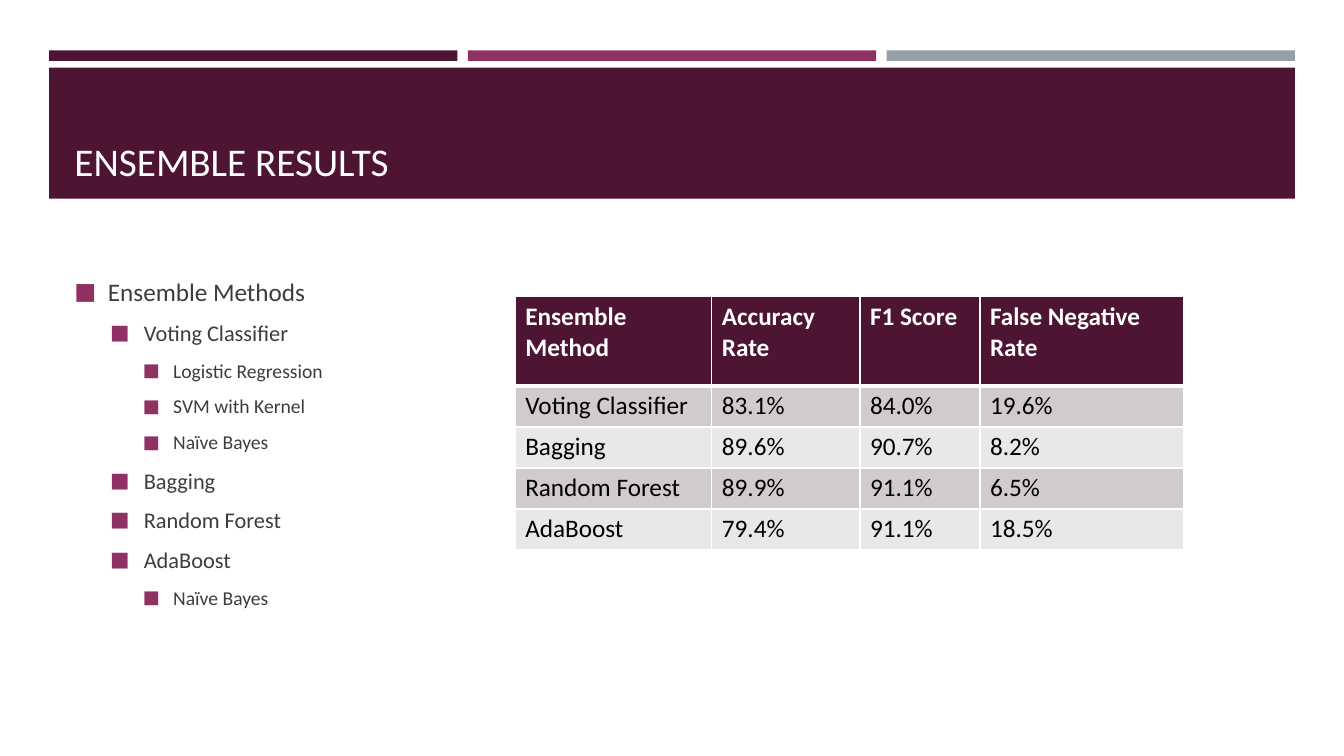
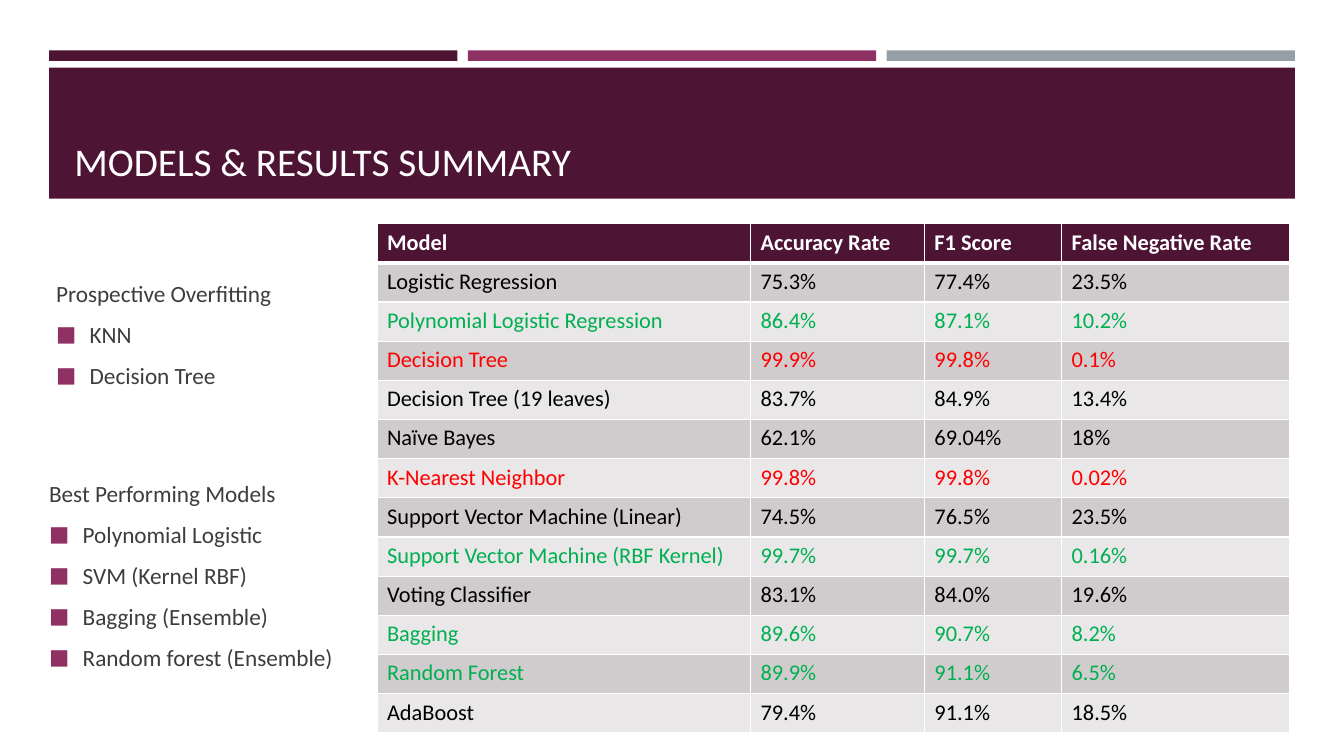
import dataclasses

import lxml.etree
import pptx
import pptx.dml.color
import pptx.enum.shapes
import pptx.enum.text
import pptx.oxml.ns
import pptx.util

Pt = pptx.util.Pt
RGB = pptx.dml.color.RGBColor.from_string
qn = pptx.oxml.ns.qn
ANCHOR = pptx.enum.text.MSO_ANCHOR


@dataclasses.dataclass(frozen=True)
class Theme:
    font: str = "Calibri"
    plum: str = "4D1434"
    berry: str = "903163"
    gray: str = "969FA7"
    white: str = "FFFFFF"
    black: str = "000000"
    body: str = "3D3D3D"
    best: str = "00B050"
    overfit: str = "FF0000"
    stripes: tuple = ("D0CCCE", "E9E7E8")
    title_size: float = 28
    level_sizes: tuple = (18, 16, 14)
    list_size: float = 16.6


T = Theme()

# Content: list items are (level, text), level None has no bullet
# Table rows are (text colour, cells)
ENSEMBLE_ROWS = [
    (T.black, ("Voting Classifier", "83.1%", "84.0%", "19.6%")),
    (T.best, ("Bagging", "89.6%", "90.7%", "8.2%")),
    (T.best, ("Random Forest", "89.9%", "91.1%", "6.5%")),
    (T.black, ("AdaBoost", "79.4%", "91.1%", "18.5%")),
]
MODEL_ROWS = [
    (T.black, ("Logistic Regression", "75.3%", "77.4%", "23.5%")),
    (T.best, ("Polynomial Logistic Regression", "86.4%", "87.1%", "10.2%")),
    (T.overfit, ("Decision Tree", "99.9%", "99.8%", "0.1%")),
    (T.black, ("Decision Tree (19 leaves)", "83.7%", "84.9%", "13.4%")),
    (T.black, ("Naïve Bayes", "62.1%", "69.04%", "18%")),
    (T.overfit, ("K-Nearest Neighbor", "99.8%", "99.8%", "0.02%")),
    (T.black, ("Support Vector Machine (Linear)", "74.5%", "76.5%", "23.5%")),
    (T.best, ("Support Vector Machine (RBF Kernel)", "99.7%", "99.7%", "0.16%")),
] + ENSEMBLE_ROWS
METRICS = ("Accuracy Rate", "F1 Score", "False Negative Rate")

SLIDES = [
    {
        "title": "ENSEMBLE RESULTS",
        "lists": [{
            "box": (46, 171.4, 355, 289.4),
            "sizes": T.level_sizes,
            "items": [
                (0, "Ensemble Methods"),
                (1, "Voting Classifier"),
                (2, "Logistic Regression"),
                (2, "SVM with Kernel"),
                (2, "Naïve Bayes"),
                (1, "Bagging"),
                (1, "Random Forest"),
                (1, "AdaBoost"),
                (2, "Naïve Bayes"),
            ],
        }],
        "table": {
            "at": (368, 211.7),
            "cols": (140.5, 105.8, 85.7, 145.4),
            "header_height": 64, "row_height": 29.3, "size": 18,
            "header": ("Ensemble Method",) + METRICS,
            "rows": [(T.black, cells) for _, cells in ENSEMBLE_ROWS],
        },
    },
    {
        "title": "MODELS & RESULTS SUMMARY",
        "lists": [
            {
                "box": (33, 185, 185, 107),
                "sizes": (T.list_size,),
                "items": [
                    (None, "Prospective Overfitting"),
                    (0, "KNN"),
                    (0, "Decision Tree"),
                ],
            },
            {
                "box": (28, 330, 268, 162),
                "sizes": (T.list_size,),
                "items": [
                    (None, "Best Performing Models"),
                    (0, "Polynomial Logistic"),
                    (0, "SVM (Kernel RBF)"),
                    (0, "Bagging (Ensemble)"),
                    (0, "Random forest (Ensemble)"),
                ],
            },
        ],
        "table": {
            "at": (269.3, 159.8),
            "cols": (266.8, 124.2, 98, 163.2),
            "header_height": 28, "row_height": 28, "size": 16,
            "header": ("Model",) + METRICS,
            "rows": MODEL_ROWS,
        },
    },
]

# Shared geometry
LEFT, RIGHT = 35, 925
BAND_TOP, BAND_HEIGHT, BAND_GAP = 36, 7.5, 7.5
HEADER_TOP, HEADER_HEIGHT = 48.4, 93.6
TITLE_BOX = (46, 55.4, 868, 80)
INDENTS = ((24, 24), (49.7, 24), (70.6, 21.6))  # left margin, hanging


def add_xml(parent, tag, **attrs):
    return lxml.etree.SubElement(parent, qn(tag), attrs)


def write(p, text, size, color, bold=False):
    r = p.add_run()
    r.text = text
    r.font.name, r.font.size, r.font.bold = T.font, Pt(size), bold
    r.font.color.rgb = RGB(color)


def set_bullet(p, level):
    left, hanging = INDENTS[level]
    p.level = level
    pPr = p._p.get_or_add_pPr()
    pPr.set("marL", str(Pt(left)))
    pPr.set("indent", str(-Pt(hanging)))
    add_xml(add_xml(pPr, "a:buClr"), "a:srgbClr", val=T.berry)
    add_xml(pPr, "a:buSzPct", val="92000")
    add_xml(pPr, "a:buFont", typeface=T.font)
    add_xml(pPr, "a:buChar", char="■")


def add_list(slide, box, sizes, items):
    tf = slide.shapes.add_textbox(*map(Pt, box)).text_frame
    tf.word_wrap = True
    tf.vertical_anchor = ANCHOR.MIDDLE
    for i, (level, text) in enumerate(items):
        p = tf.add_paragraph() if i else tf.paragraphs[0]
        size = sizes[level or 0]
        p.space_before, p.space_after = Pt(round(size * 0.2, 1)), Pt(6)
        if level is not None:
            set_bullet(p, level)
        write(p, text, size, T.body)


def set_borders(cell, top, bottom):
    tcPr = cell._tc.get_or_add_tcPr()
    sides = (("a:lnL", 1), ("a:lnR", 1), ("a:lnT", top), ("a:lnB", bottom))
    for i, (tag, width) in enumerate(sides):
        ln = add_xml(tcPr, tag, w=str(Pt(width)))
        add_xml(add_xml(ln, "a:solidFill"), "a:srgbClr", val=T.white)
        tcPr.insert(i, ln)


def add_results(slide, at, cols, header_height, row_height, size, header, rows):
    lines = [(T.white, header)] + rows
    heights = [header_height] + [row_height] * len(rows)
    extent = (*at, sum(cols), sum(heights))
    table = slide.shapes.add_table(len(lines), len(cols), *map(Pt, extent)).table
    for column, width in zip(table.columns, cols):
        column.width = Pt(width)
    for i, (color, texts) in enumerate(lines):
        table.rows[i].height = Pt(heights[i])
        fill = T.stripes[(i - 1) % 2] if i else T.plum
        for j, text in enumerate(texts):
            cell = table.cell(i, j)
            cell.fill.solid()
            cell.fill.fore_color.rgb = RGB(fill)
            # A heavier rule parts the header from the rows
            set_borders(cell, 3 if i == 1 else 1, 1 if i else 3)
            write(cell.text_frame.paragraphs[0], text, size, color, bold=i == 0)


def add_title(slide, text):
    sp = slide.shapes.title
    sp.left, sp.top, sp.width, sp.height = map(Pt, TITLE_BOX)
    tf = sp.text_frame
    tf.word_wrap = True
    tf.auto_size = pptx.enum.text.MSO_AUTO_SIZE.NONE
    tf.vertical_anchor = ANCHOR.BOTTOM
    p = tf.paragraphs[0]
    p.alignment = pptx.enum.text.PP_ALIGN.LEFT
    write(p, text, T.title_size, T.white)


def decorate_layout(layout, slide):
    """Draw the bands on a slide, then move them to the back of its layout."""
    colors = (T.plum, T.berry, T.gray)
    width = (RIGHT - LEFT - BAND_GAP * (len(colors) - 1)) / len(colors)
    bars = [(color, (LEFT + i * (width + BAND_GAP), BAND_TOP, width, BAND_HEIGHT))
            for i, color in enumerate(colors)]
    bars.append((T.plum, (LEFT, HEADER_TOP, RIGHT - LEFT, HEADER_HEIGHT)))
    for i, (color, box) in enumerate(bars):
        sp = slide.shapes.add_shape(
            pptx.enum.shapes.MSO_SHAPE.RECTANGLE, *map(Pt, box))
        sp.shadow.inherit = False
        sp.fill.solid()
        sp.fill.fore_color.rgb = RGB(color)
        sp.line.fill.background()
        layout.shapes._spTree.insert(2 + i, sp._element)


def main():
    prs = pptx.Presentation()
    prs.slide_width, prs.slide_height = Pt(960), Pt(540)
    layout = prs.slide_layouts[5]  # title only
    for i, content in enumerate(SLIDES):
        slide = prs.slides.add_slide(layout)
        if i == 0:
            decorate_layout(layout, slide)
        add_title(slide, content["title"])
        for bullets in content["lists"]:
            add_list(slide, **bullets)
        add_results(slide, **content["table"])
    prs.save("out.pptx")


if __name__ == "__main__":
    main()
